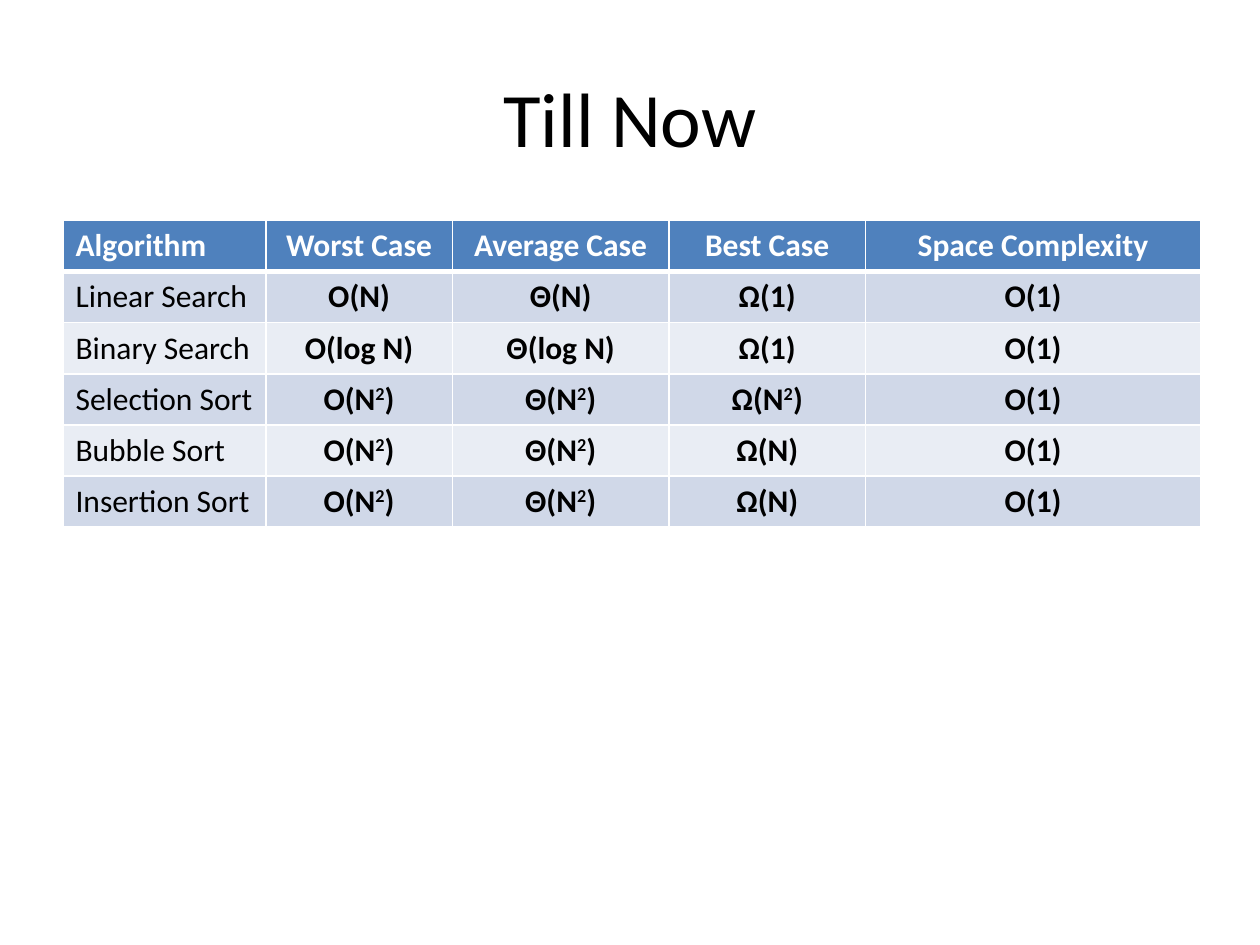
from lxml import etree
from pptx import Presentation
from pptx import util as u
from pptx.dml.color import RGBColor
from pptx.enum import text
from pptx.oxml.ns import qn

FONT = "Calibri"
COL_WIDTHS = [1.61, 1.48, 1.72, 1.56, 2.66]
ROWS = [
    ["Algorithm", "Worst Case", "Average Case", "Best Case", "Space Complexity"],
    ["Linear Search", "O(N)", "Θ(N)", "Ω(1)", "O(1)"],
    ["Binary Search", "O(log N)", "Θ(log N)", "Ω(1)", "O(1)"],
    ["Selection Sort", "O(N^2)", "Θ(N^2)", "Ω(N^2)", "O(1)"],
    ["Bubble Sort", "O(N^2)", "Θ(N^2)", "Ω(N)", "O(1)"],
    ["Insertion Sort", "O(N^2)", "Θ(N^2)", "Ω(N)", "O(1)"],
]


def color(hex_string):
    return RGBColor.from_string(hex_string)


def style(p, size, hex_string, bold, align):
    p.alignment = align
    f = p.font
    f.name, f.size, f.bold = FONT, u.Pt(size), bold
    f.color.rgb = color(hex_string)


def add_runs(p, formula):
    before, square, after = formula.partition("^2")
    p.add_run().text = before
    if square:
        r = p.add_run()
        r.text = "2"
        r._r.get_or_add_rPr().set("baseline", "30000")
        p.add_run().text = after


def set_borders(cell, widths, hex_string):
    tc_pr = cell._tc.get_or_add_tcPr()
    for side, width in zip("LRTB", widths):
        ln = etree.SubElement(tc_pr, qn(f"a:ln{side}"), w=str(u.Pt(width)))
        fill = etree.SubElement(ln, qn("a:solidFill"))
        etree.SubElement(fill, qn("a:srgbClr"), val=hex_string)


def add_title(s, title, x, y, w, h):
    sp = s.shapes.title
    sp.left, sp.top, sp.width, sp.height = x, y, w, h
    tf = sp.text_frame
    tf.text = title
    tf.vertical_anchor = text.MSO_ANCHOR.MIDDLE
    style(tf.paragraphs[0], 44, "000000", False, text.PP_ALIGN.CENTER)


def add_complexity_table(s, x, y, w, h):
    tbl = s.shapes.add_table(len(ROWS), len(COL_WIDTHS), x, y, w, h).table
    for col, width in zip(tbl.columns, COL_WIDTHS):
        col.width = int(w * width / sum(COL_WIDTHS))
    for i, row in enumerate(ROWS):
        header = i == 0
        fill = "4F81BD" if header else ("E9EDF4", "D0D8E8")[i % 2]
        widths = (1, 1, 3 if i == 1 else 1, 3 if header else 1)
        for j, value in enumerate(row):
            cell = tbl.cell(i, j)
            set_borders(cell, widths, "FFFFFF")
            cell.fill.solid()
            cell.fill.fore_color.rgb = color(fill)
            p = cell.text_frame.paragraphs[0]
            add_runs(p, value)
            style(p, 18, "FFFFFF" if header else "000000", header or j > 0,
                  text.PP_ALIGN.CENTER if j else text.PP_ALIGN.LEFT)


def main():
    prs = Presentation()
    prs.slide_width, prs.slide_height = u.Inches(10), u.Inches(7.5)
    s = prs.slides.add_slide(prs.slide_layouts[5])
    add_title(s, "Till Now", u.Inches(0.5), u.Inches(0.3), u.Inches(9), u.Inches(1.25))
    add_complexity_table(s, u.Inches(0.5), u.Inches(1.75), u.Inches(9.03), u.Inches(2.43))
    prs.save("out.pptx")


if __name__ == "__main__":
    main()
